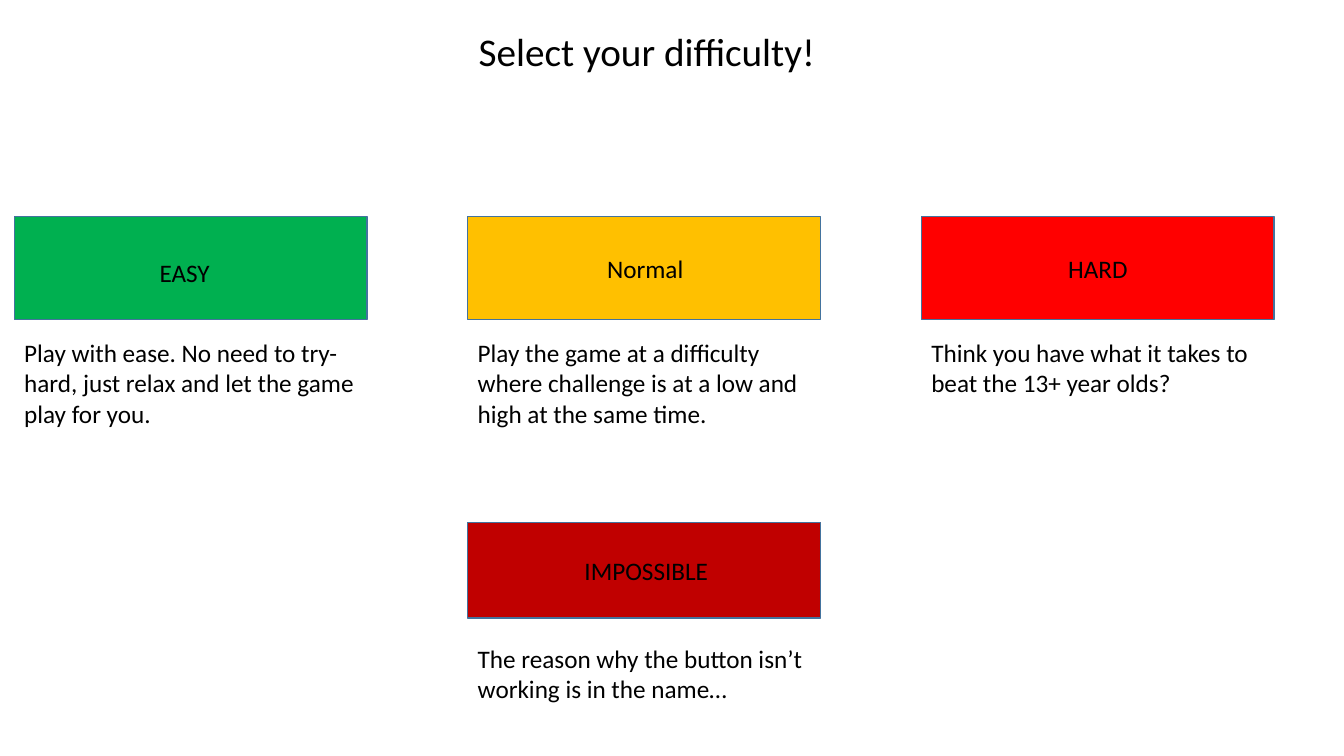
import pptx
import pptx.util
import pptx.dml.color
import pptx.enum.shapes
import pptx.enum.text
from pptx.util import Cm

COLORS = {
    "text": "000000",
    "outline": "43739E",
    "easy": "00B050",
    "normal": "FFC000",
    "hard": "FF0000",
    "impossible": "C00000",
}
ALIGN = pptx.enum.text.PP_ALIGN
LEFT, PITCH, WIDTH = 0.36, 11.43, 8.89
LABEL_HEIGHT = 1.02

# color, column, button (top, height), label, label (left, top, width), alignment,
# description, description (top, height)
LEVELS = [
    ("easy", 0, (5.46, 2.59), "EASY", (2.9, 6.35, 3.51), ALIGN.CENTER,
     "Play with ease. No need to try-hard, just relax and let the game play for you.",
     (8.38, 2.57)),
    ("normal", 1, (5.46, 2.59), "Normal", (14.66, 6.25, 3.2), ALIGN.CENTER,
     "Play the game at a difficulty where challenge is at a low and high at the same time.",
     (8.38, 2.57)),
    ("hard", 2, (5.46, 2.59), "HARD", (25.83, 6.25, 3.68), ALIGN.CENTER,
     "Think you have what it takes to beat the 13+ year olds?",
     (8.38, 1.8)),
    ("impossible", 1, (13.16, 2.41), "IMPOSSIBLE", (14.48, 13.87, 3.81), ALIGN.LEFT,
     "The reason why the button isn’t working is in the name…",
     (16.08, 1.8)),
]


def rgb(name):
    return pptx.dml.color.RGBColor.from_string(COLORS[name])


def write(tf, text, size=18, align=ALIGN.LEFT, color="text", font="Calibri"):
    tf.word_wrap = True
    tf.auto_size = pptx.enum.text.MSO_AUTO_SIZE.NONE
    tf.vertical_anchor = pptx.enum.text.MSO_ANCHOR.TOP
    p = tf.paragraphs[0]
    p.alignment = align
    r = p.add_run()
    r.text = text
    r.font.size = pptx.util.Pt(size)
    r.font.name = font
    r.font.color.rgb = rgb(color)


def add_title(s, text, left, top, width, height):
    sp = s.shapes.title
    sp.left, sp.top, sp.width, sp.height = Cm(left), Cm(top), Cm(width), Cm(height)
    write(sp.text_frame, text, size=28)


def add_button(s, color, left, top, width, height):
    sp = s.shapes.add_shape(pptx.enum.shapes.MSO_SHAPE.RECTANGLE,
                            Cm(left), Cm(top), Cm(width), Cm(height))
    sp.shadow.inherit = False
    sp.fill.solid()
    sp.fill.fore_color.rgb = rgb(color)
    sp.line.color.rgb = rgb("outline")
    sp.line.width = pptx.util.Pt(1)


def add_text(s, text, left, top, width, height, **style):
    sp = s.shapes.add_textbox(Cm(left), Cm(top), Cm(width), Cm(height))
    write(sp.text_frame, text, **style)


def main():
    prs = pptx.Presentation()
    prs.slide_width, prs.slide_height = Cm(33.87), Cm(19.05)
    s = prs.slides.add_slide(prs.slide_layouts[5])
    add_title(s, "Select your difficulty!", 11.81, 0.56, 9.17, 1.45)
    for color, column, button, label, label_box, align, description, area in LEVELS:
        left = LEFT + column * PITCH
        add_button(s, color, left, button[0], WIDTH, button[1])
        add_text(s, label, *label_box, LABEL_HEIGHT, align=align)
        add_text(s, description, left, area[0], WIDTH, area[1])
    prs.save("out.pptx")


if __name__ == "__main__":
    main()
